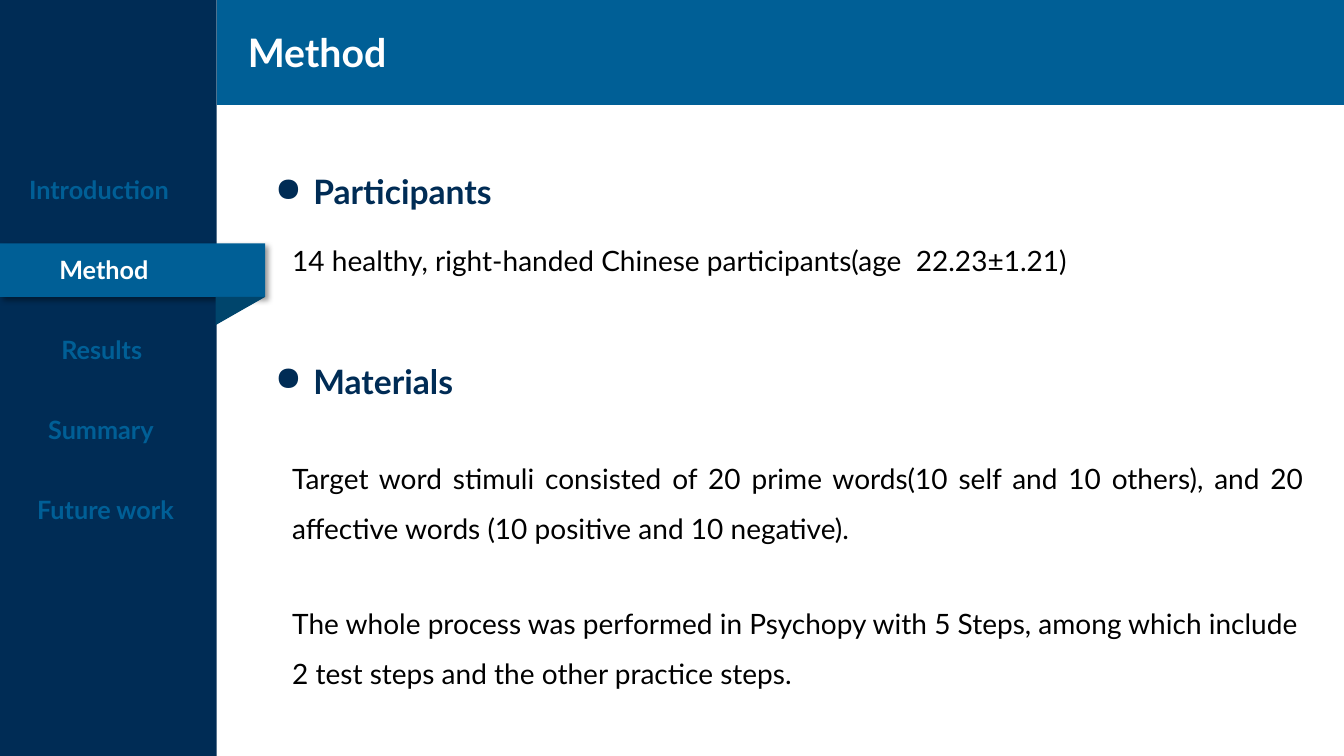
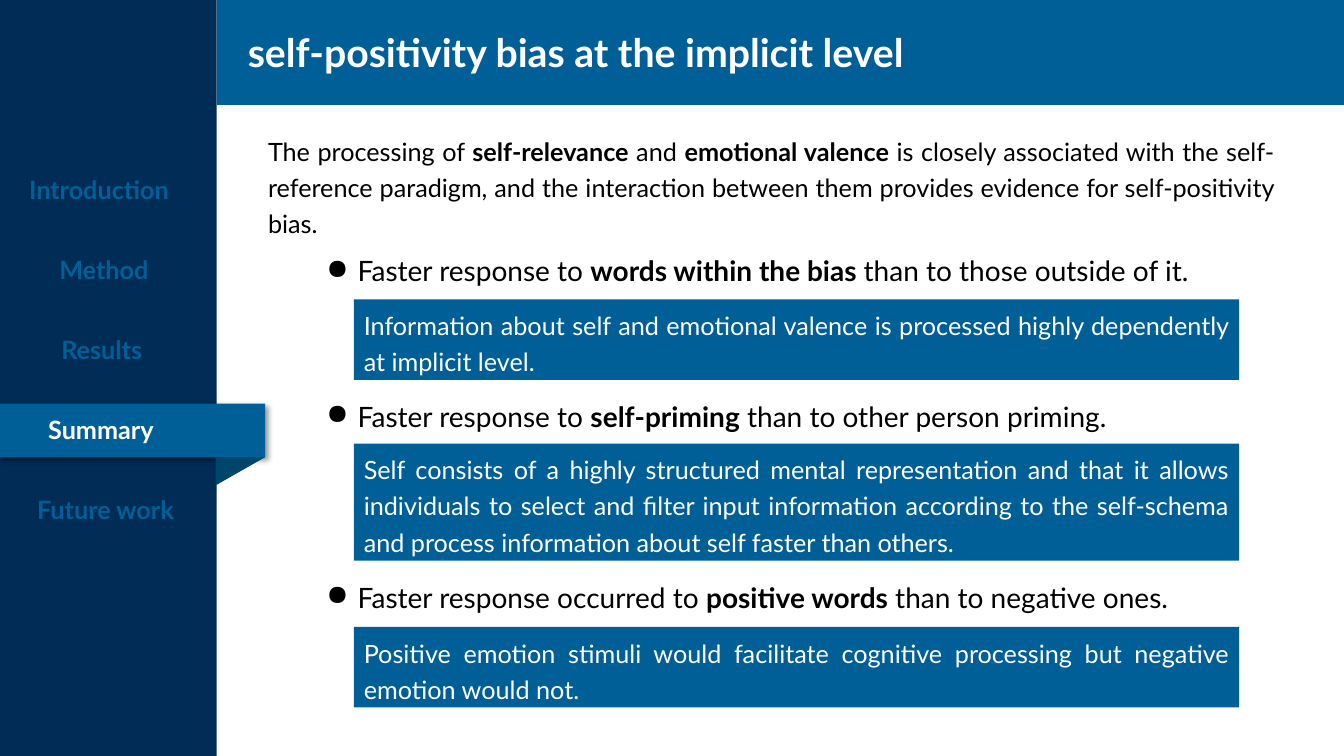
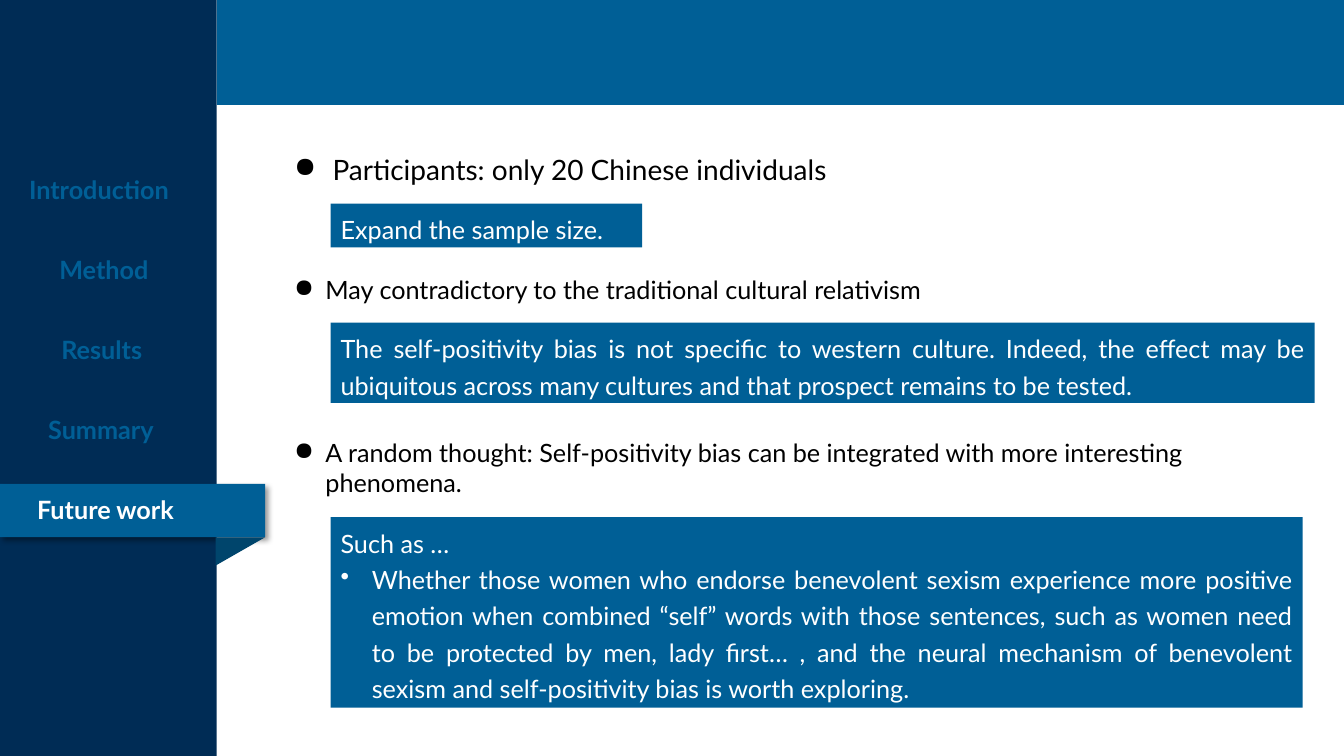
from dataclasses import dataclass
from typing import Optional

from lxml.etree import SubElement
from pptx import Presentation
from pptx.dml.color import RGBColor
from pptx.enum.shapes import MSO_SHAPE as Preset
from pptx.enum.text import MSO_ANCHOR as Anchor, PP_ALIGN as Align
from pptx.oxml.ns import qn
from pptx.util import Inches, Pt


@dataclass(frozen=True)
class Theme:
    font: str = "Lato"
    navy: str = "002C55"
    blue: str = "005F96"
    fold: str = "00456C"
    white: str = "FFFFFF"
    black: str = "000000"
    title: int = 28
    heading: int = 24
    large: int = 20
    text: int = 18


THEME = Theme()
SLIDE_W, SLIDE_H = 13.33, 7.5
SIDEBAR_W, HEADER_H = 2.15, 1.04
RIBBON_W, RIBBON_H = 2.63, 0.53
FOLD_W, FOLD_H = 0.49, 0.28
NAV_TOP, NAV_STEP = 1.68, 0.795
BULLETS = ("●", "•")


@dataclass(frozen=True)
class NavEntry:
    label: str
    left: float
    width: float


NAV = (
    NavEntry("Introduction", 0.19, 1.83),
    NavEntry("Method", 0.49, 1.16),
    NavEntry("Results", 0.51, 1.13),
    NavEntry("Summary", 0.38, 1.44),
    NavEntry("Future work", 0.27, 1.76),
)


@dataclass(frozen=True)
class Block:
    """Text at a place; ** toggles bold, a leading bullet sign makes a list item."""
    paragraphs: tuple[str, ...]
    left: float
    top: float
    width: float
    height: float
    size: int
    color: str = THEME.black
    bold: bool = False
    align: Optional[Align] = None
    spacing: Optional[float] = None
    indent: float = 0.31
    fill: Optional[str] = None


@dataclass(frozen=True)
class Page:
    section: str
    title: str
    blocks: tuple[Block, ...]


def heading(text: str, top: float) -> Block:
    return Block((f"● {text}",), 2.63, top, 3, 0.5, THEME.heading, THEME.navy,
                 bold=True, indent=0.38)


def body(text: str, top: float, height: float = 1.11, width: float = 10.23,
         align: Optional[Align] = Align.JUSTIFY) -> Block:
    return Block((text,), 2.8, top, width, height, THEME.large, align=align, spacing=1.5)


def point(text: str, left: float, top: float, size: int = THEME.large,
          height: float = 0.44, indent: float = 0.31) -> Block:
    return Block((f"● {text}",), left, top, 10.23 if left < 3 else 9.6, height, size,
                 indent=indent)


def callout(paragraphs: tuple[str, ...], left: float, top: float, width: float,
            lines: int) -> Block:
    """Filled box whose height follows from its number of lines."""
    return Block(paragraphs, left, top, width, 0.07 + 0.364 * lines, THEME.text,
                 THEME.white, align=Align.JUSTIFY, spacing=1.2, fill=THEME.blue)


PAGES = (
    Page("Method", "Method", (
        heading("Participants", 1.65),
        body("14 healthy, right-handed Chinese participants(age  22.23±1.21)", 2.2, 0.55),
        heading("Materials", 3.53),
        body("Target word stimuli consisted of 20 prime words(10 self and 10 others), "
             "and 20 affective words (10 positive and 10 negative).", 4.36),
        body("The whole process was performed in Psychopy with 5 Steps, among which include "
             "2 test steps and the other practice steps.", 5.8, width=10.34, align=None),
    )),
    Page("Summary", "self-positivity bias at the implicit level", (
        Block(("The processing of **self-relevance** and **emotional valence** is closely "
               "associated with the self-reference paradigm, and the interaction between "
               "them provides evidence for self-positivity bias.",),
              2.56, 1.24, 10.18, 1.16, THEME.text, align=Align.JUSTIFY, spacing=1.2),
        point("Faster response to **words within the bias **than to those outside of it.",
              3.14, 2.47),
        callout(("Information about self and emotional valence is processed highly "
                 "dependently at implicit level.",), 3.51, 2.97, 8.78, 2),
        point("Faster response to **self-priming** than to other person priming.", 3.14, 3.91),
        callout(("Self consists of a highly structured mental representation and that it "
                 "allows individuals to select and filter input information according to "
                 "the self-schema and process information about self faster than others.",),
                3.51, 4.4, 8.78, 3),
        point("Faster response occurred to **positive words** than to negative ones.",
              3.14, 5.71),
        callout(("Positive emotion stimuli would facilitate cognitive processing but "
                 "negative emotion would not.",), 3.51, 6.22, 8.78, 2),
    )),
    Page("Future work", "", (
        point("Participants: only 20 Chinese individuals", 2.82, 1.46, indent=0.38),
        callout(("Expand the sample size.",), 3.28, 2.02, 3.09, 1),
        point("May contradictory to the traditional cultural relativism", 2.82, 2.67,
              THEME.text, 0.4),
        callout(("The self-positivity bias is not specific to western culture. Indeed, the "
                 "effect may be ubiquitous across many cultures and that prospect remains "
                 "to be tested.",), 3.28, 3.2, 9.76, 2),
        point("A random thought: Self-positivity bias can be integrated with more "
              "interesting phenomena.", 2.82, 4.29, THEME.text, 0.71),
        callout(("Such as …",
                 "• Whether those women who endorse benevolent sexism experience more "
                 "positive emotion when combined “self” words with those sentences, such as "
                 "women need to be protected by men, lady first… , and the neural mechanism "
                 "of benevolent sexism and self-positivity bias is worth exploring."),
                3.28, 5.13, 9.64, 5),
    )),
)


def add_filled(shapes, left: float, top: float, width: float, height: float, fill: str,
               preset=Preset.RECTANGLE):
    shape = shapes.add_shape(preset, Inches(left), Inches(top), Inches(width), Inches(height))
    shape.fill.solid()
    shape.fill.fore_color.rgb = RGBColor.from_string(fill)
    shape.line.fill.background()
    shape.shadow.inherit = False
    return shape


def cast_shadow(shape) -> None:
    effects = shape.element.spPr.find(qn("a:effectLst"))
    shadow = SubElement(effects, qn("a:outerShdw"), blurRad=str(Pt(4)), dist=str(Pt(3)),
                        dir=str(45 * 60000), algn="tl", rotWithShape="0")
    color = SubElement(shadow, qn("a:srgbClr"), val=THEME.black)
    SubElement(color, qn("a:alpha"), val="40000")


def set_bullet(paragraph, sign: str, indent: float) -> None:
    properties = paragraph._p.get_or_add_pPr()
    properties.set("marL", str(Inches(indent)))
    properties.set("indent", str(-Inches(indent)))
    SubElement(properties, qn("a:buChar"), char=sign)


def write_paragraph(paragraph, text: str, block: Block) -> None:
    if text.startswith(BULLETS):
        sign, text = text.split(" ", 1)
        set_bullet(paragraph, sign, block.indent)
    paragraph.alignment = block.align or Align.LEFT
    paragraph.line_spacing = block.spacing
    for index, piece in enumerate(text.split("**")):
        run = paragraph.add_run()
        run.text = piece
        run.font.color.rgb = RGBColor.from_string(block.color)
        formats = {"name": THEME.font, "size": Pt(block.size),
                   "bold": block.bold or index % 2 == 1}
        for attribute, value in formats.items():
            setattr(run.font, attribute, value)


def add_block(slide, block: Block) -> None:
    place = block.left, block.top, block.width, block.height
    if block.fill:
        holder = add_filled(slide.shapes, *place, block.fill)
    else:
        holder = slide.shapes.add_textbox(*map(Inches, place))
    frame = holder.text_frame
    frame.word_wrap = True
    frame.vertical_anchor = Anchor.TOP
    for index, text in enumerate(block.paragraphs):
        paragraph = frame.add_paragraph() if index else frame.paragraphs[0]
        write_paragraph(paragraph, text, block)


def add_ribbon(slide, top: float) -> None:
    """Folded ribbon that marks the current section."""
    ribbon = slide.shapes.add_group_shape().shapes
    cast_shadow(add_filled(ribbon, 0, top, RIBBON_W, RIBBON_H, THEME.blue))
    center_x = RIBBON_W - FOLD_W / 2
    center_y = top + RIBBON_H + FOLD_H / 2
    fold = add_filled(ribbon, center_x - FOLD_H / 2, center_y - FOLD_W / 2, FOLD_H, FOLD_W,
                      THEME.fold, Preset.RIGHT_TRIANGLE)
    fold.rotation = 90


def add_frame(slide, page: Page) -> None:
    """Sidebar, header band, title and section list."""
    add_filled(slide.shapes, 0, 0, SIDEBAR_W, SLIDE_H, THEME.navy)
    add_filled(slide.shapes, SIDEBAR_W, 0, SLIDE_W - SIDEBAR_W, HEADER_H, THEME.blue)
    if page.title:
        add_block(slide, Block((page.title,), 2.36, 0.23, 10, 0.57, THEME.title,
                               THEME.white, bold=True))
    for index, entry in enumerate(NAV):
        top = NAV_TOP + index * NAV_STEP
        current = entry.label == page.section
        if current:
            add_ribbon(slide, top - 0.06)
        add_block(slide, Block((entry.label,), entry.left, top, entry.width, 0.4, THEME.text,
                               THEME.white if current else THEME.blue, bold=True))


def main() -> None:
    deck = Presentation()
    deck.slide_width, deck.slide_height = Inches(SLIDE_W), Inches(SLIDE_H)
    for page in PAGES:
        slide = deck.slides.add_slide(deck.slide_layouts[6])
        add_frame(slide, page)
        for block in page.blocks:
            add_block(slide, block)
    deck.save("out.pptx")


if __name__ == "__main__":
    main()
